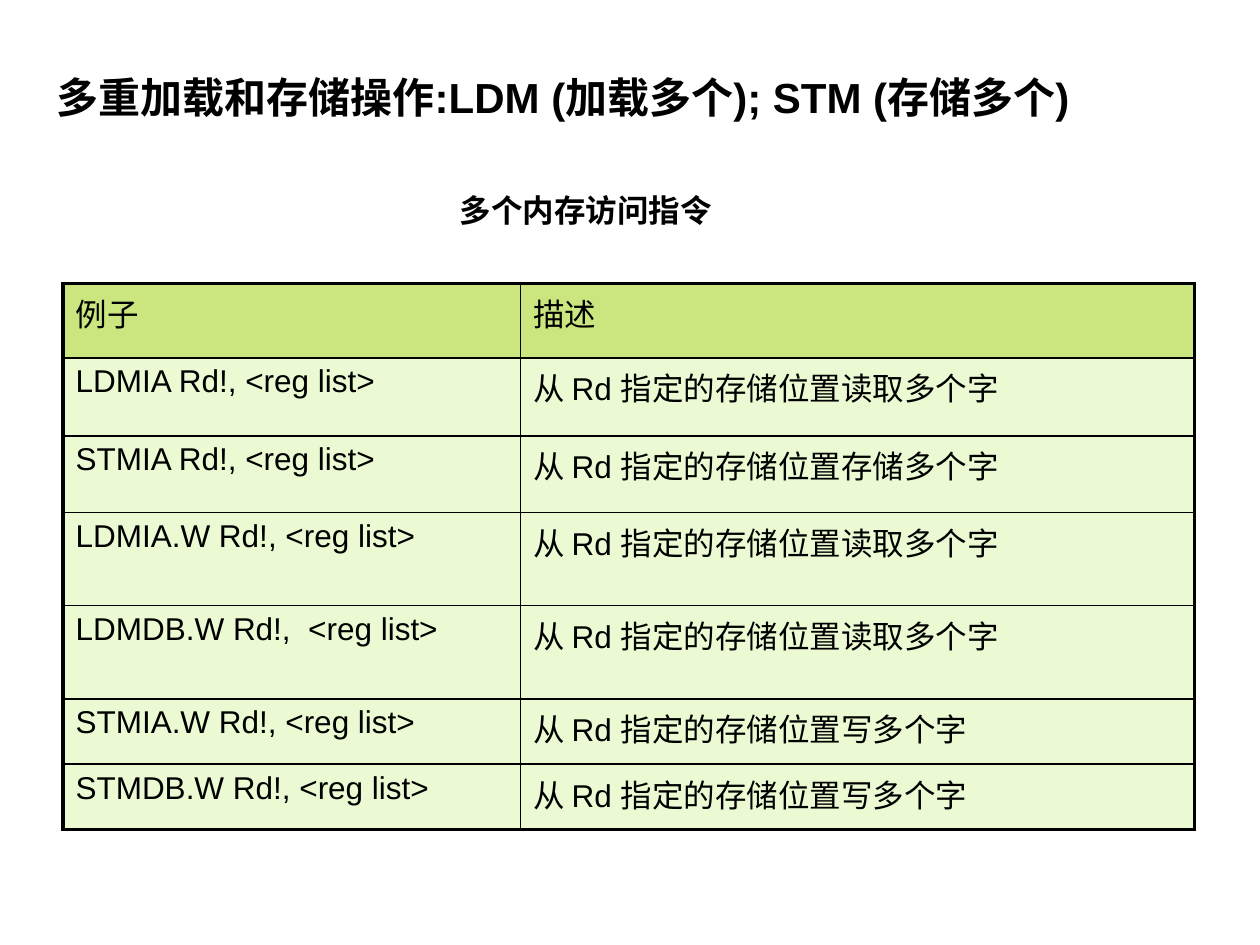
"""Build a slide listing the multiple memory access instructions."""
from dataclasses import dataclass

from lxml import etree
from pptx import Presentation
from pptx.dml.color import RGBColor
from pptx.enum import text
from pptx.oxml import ns
from pptx.util import Pt


@dataclass(frozen=True)
class Theme:
    font: str = "Arial"
    ink: str = "000000"
    header_fill: str = "99CC00"
    body_fill: str = "D8F6A8"
    fill_alpha: int = 50
    title_size: float = 24
    text_size: float = 18
    outer_line: float = 2.25
    inner_line: float = 1


@dataclass(frozen=True)
class Row:
    example: str
    description: str
    height: float


THEME = Theme()
COLUMN_WIDTHS = (261.4, 385.2)
ROWS = (
    Row("例子", "描述", 42.5),
    Row("LDMIA Rd!, <reg list>", "从 Rd 指定的存储位置读取多个字", 44.6),
    Row("STMIA Rd!, <reg list>", "从 Rd 指定的存储位置存储多个字", 43.9),
    Row("LDMIA.W Rd!, <reg list>", "从 Rd 指定的存储位置读取多个字", 53.2),
    Row("LDMDB.W Rd!,  <reg list>", "从 Rd 指定的存储位置读取多个字", 53.2),
    Row("STMIA.W Rd!, <reg list>", "从 Rd 指定的存储位置写多个字", 37.4),
    Row("STMDB.W Rd!, <reg list>", "从 Rd 指定的存储位置写多个字", 37.4),
)


def write(frame, content: str, *, size: float = THEME.text_size,
          bold: bool = False, wrap: bool = True) -> None:
    frame.word_wrap = wrap
    frame.vertical_anchor = text.MSO_ANCHOR.TOP
    para = frame.paragraphs[0]
    para.alignment = text.PP_ALIGN.LEFT
    span = para.add_run()
    span.text = content
    span.font.name = THEME.font
    span.font.size = Pt(size)
    span.font.bold = bold
    span.font.color.rgb = RGBColor.from_string(THEME.ink)


def place(box, left: float, top: float, width: float, height: float) -> None:
    box.left, box.top, box.width, box.height = map(Pt, (left, top, width, height))


def paint(cell, color: str) -> None:
    cell.fill.solid()
    cell.fill.fore_color.rgb = RGBColor.from_string(color)
    shade = cell._tc.tcPr.find(".//" + ns.qn("a:srgbClr"))
    etree.SubElement(shade, ns.qn("a:alpha"), val=str(THEME.fill_alpha * 1000))


def border(cell, outer_sides: dict[str, bool]) -> None:
    for position, (side, outer) in enumerate(outer_sides.items()):
        width = THEME.outer_line if outer else THEME.inner_line
        line = etree.Element(ns.qn(f"a:ln{side}"), w=str(Pt(width)))
        fill = etree.SubElement(line, ns.qn("a:solidFill"))
        etree.SubElement(fill, ns.qn("a:srgbClr"), val=THEME.ink)
        cell._tc.tcPr.insert(position, line)


def add_instruction_table(page, left: float, top: float) -> None:
    last_row, last_column = len(ROWS) - 1, len(COLUMN_WIDTHS) - 1
    height = sum(row.height for row in ROWS)
    table = page.shapes.add_table(
        len(ROWS), len(COLUMN_WIDTHS), Pt(left), Pt(top),
        Pt(sum(COLUMN_WIDTHS)), Pt(height)).table
    table.first_row = table.horz_banding = False
    for column, width in zip(table.columns, COLUMN_WIDTHS):
        column.width = Pt(width)
    for r, row in enumerate(ROWS):
        table.rows[r].height = Pt(row.height)
        for c, content in enumerate((row.example, row.description)):
            cell = table.cell(r, c)
            write(cell.text_frame, content)
            paint(cell, THEME.body_fill if r else THEME.header_fill)
            border(cell, {"L": c == 0, "R": c == last_column,
                          "T": r == 0, "B": r == last_row})


def main() -> None:
    deck = Presentation()
    deck.slide_width, deck.slide_height = Pt(720), Pt(540)
    page = deck.slides.add_slide(deck.slide_layouts[5])

    title = page.shapes.title
    place(title, 25.2, 37.4, 646.6, 44.6)
    write(title.text_frame, "多重加载和存储操作:LDM (加载多个); STM (存储多个)",
          size=THEME.title_size, bold=True)
    title.text_frame.auto_size = text.MSO_AUTO_SIZE.NONE

    caption = page.shapes.add_textbox(Pt(255.6), Pt(105.8), Pt(161.3), Pt(28.8))
    write(caption.text_frame, "多个内存访问指令", bold=True, wrap=False)
    caption.text_frame.auto_size = text.MSO_AUTO_SIZE.SHAPE_TO_FIT_TEXT

    add_instruction_table(page, 36, 162)
    deck.save("out.pptx")


if __name__ == "__main__":
    main()
